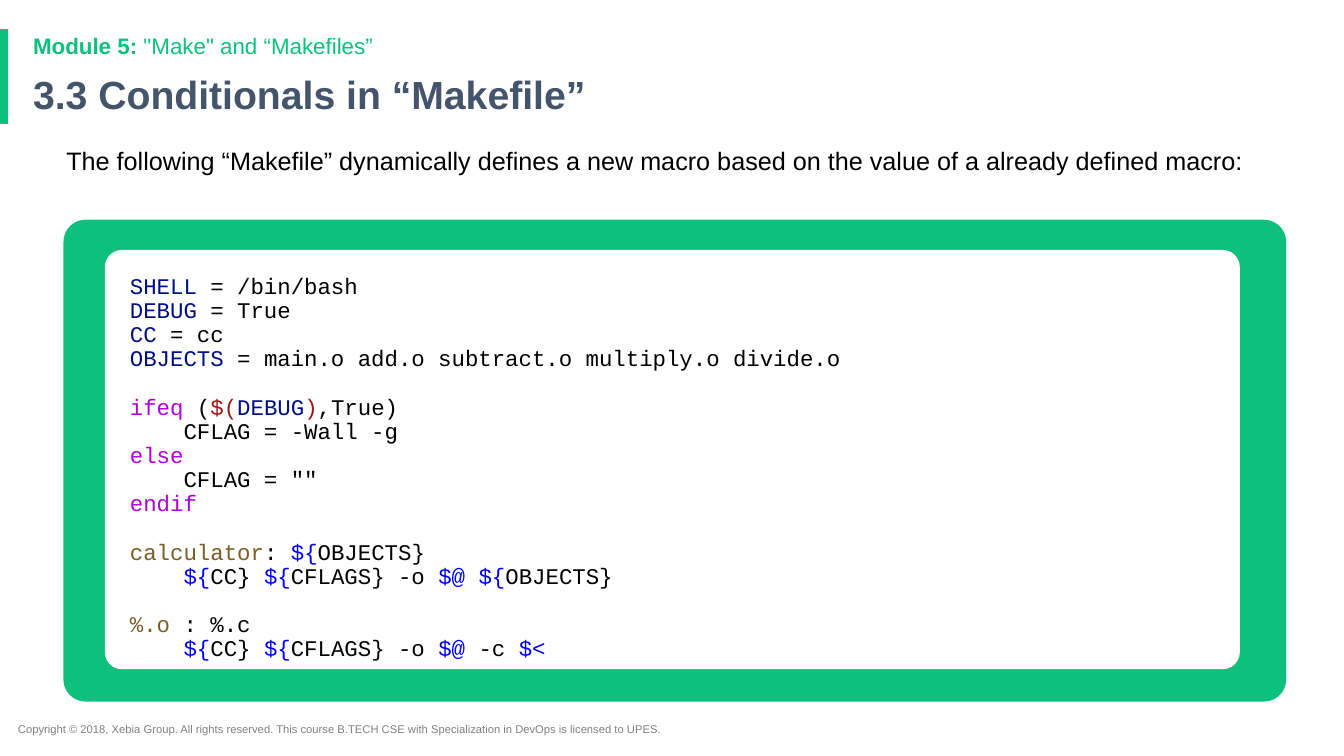
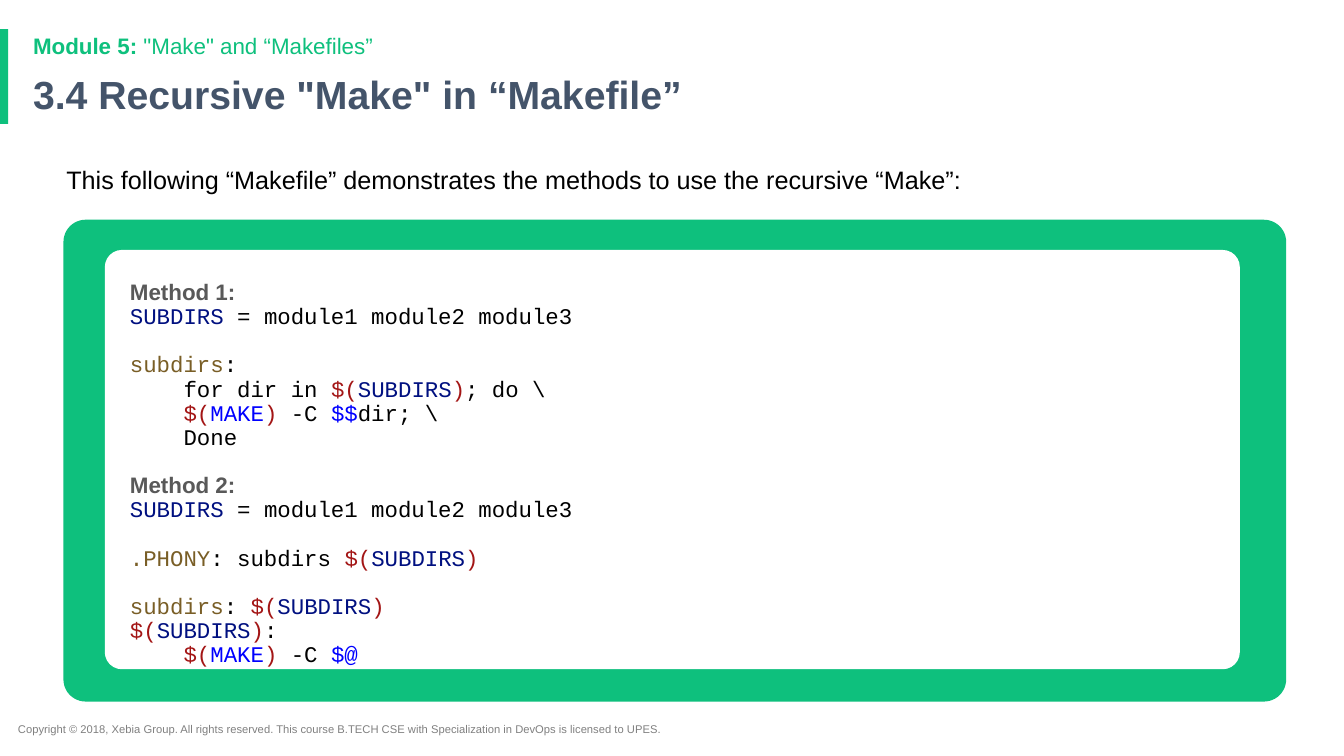
from pptx import Presentation
from pptx.dml.color import RGBColor
from pptx.enum.shapes import MSO_SHAPE
from pptx.enum.text import MSO_ANCHOR
from pptx.util import Inches, Pt

RECT, ROUND = MSO_SHAPE.RECTANGLE, MSO_SHAPE.ROUNDED_RECTANGLE
TOP, MIDDLE = MSO_ANCHOR.TOP, MSO_ANCHOR.MIDDLE

GREEN = RGBColor(0x0E, 0xC0, 0x7D)
SLATE = RGBColor(0x44, 0x54, 0x6A)
GRAY = RGBColor(0x80, 0x80, 0x80)
DARK = RGBColor(0x59, 0x59, 0x59)
WHITE = RGBColor(0xFF, 0xFF, 0xFF)
BLACK = RGBColor(0, 0, 0)
NAVY = RGBColor(0x00, 0x10, 0x80)
RED = RGBColor(0xA3, 0x15, 0x15)
PURPLE = RGBColor(0xAF, 0x00, 0xDB)
BROWN = RGBColor(0x79, 0x5E, 0x26)
BLUE = RGBColor(0x00, 0x00, 0xFF)

# The grid has ten columns and ten rows to the inch.
UNIT = Inches(0.1)
WIDE, HIGH = 133.33, 75
BAND = (0, 2.9, 0.8, 9.4)
MODULE = (2.3, 3, 115, 3.3)
TITLE = (2.3, 6.9, 115, 5.4)
INTRO = (5.6, 14.3, 122, 6)
PANEL = (6.3, 21.8, 121.3, 47.8)
FOOTER = (0.8, 71.2, 71.3, 2.4)

SANS = {"name": "Arial", "bold": False}
SMALL = {**SANS, "size": Pt(8), "color": GRAY}
LEAD = {**SANS, "size": Pt(16), "color": GREEN}
HEAD = {**SANS, "size": Pt(28), "color": SLATE, "bold": True}
BODY = {**SANS, "size": Pt(18), "color": BLACK}
CODE = {"name": "Courier New", "size": Pt(16), "bold": False}
LABEL = {**SANS, "size": Pt(16), "color": DARK, "bold": True}
LINE, LOOSE = 0.9, 1.5
GAP = Pt(17.25)


def scale(box):
    return [round(side * UNIT) for side in box]


def write(par, text, style):
    run = par.add_run()
    run.text = text
    for key, value in style.items():
        if key == "color":
            run.font.color.rgb = value
        else:
            setattr(run.font, key, value)


def label(slide, box, runs, anchor=TOP, line=LINE):
    frame = slide.shapes.add_textbox(*scale(box)).text_frame
    frame.word_wrap = True
    frame.vertical_anchor = anchor
    par = frame.paragraphs[0]
    par.line_spacing = line
    for text, style in runs:
        write(par, text, style)


def block(slide, kind, box, fill, radius=0):
    shape = slide.shapes.add_shape(kind, *scale(box))
    shape.shadow.inherit = False
    shape.fill.solid()
    shape.fill.fore_color.rgb = fill
    shape.line.fill.background()
    if radius:
        shape.adjustments[0] = radius / box[3]
    return shape


def frame(slide, title):
    """Place the band, headings and footer that all slides share."""
    block(slide, RECT, BAND, GREEN)
    label(slide, FOOTER, [(
        "Copyright © 2018, Xebia Group. All rights reserved. This course "
        "B.TECH CSE with Specialization in DevOps is licensed to UPES.",
        SMALL)], line=1.0)
    label(slide, TITLE, [(title, HEAD)], MIDDLE)
    label(slide, MODULE, [("Module 5:", {**LEAD, "bold": True}),
                          (' "Make" and “Makefiles”', LEAD)], MIDDLE)


def panel(slide, box, parts, inset, first):
    """Draw the code panel; each part is a list of lines, with a gap between."""
    left, top, width, height = box
    block(slide, ROUND, box, GREEN, 2.2)
    inner = (left + 4.1, top + 3, width - 8.7, height - 6.2)
    text = block(slide, ROUND, inner, WHITE, 1.7).text_frame
    text.word_wrap = True
    text.vertical_anchor = TOP
    text.margin_left, text.margin_top = 2 * UNIT, inset * UNIT
    text.margin_right = text.margin_bottom = 0
    par = None
    for part in parts:
        for row, line in enumerate(part):
            fresh = par is None
            par = text.paragraphs[0] if fresh else text.add_paragraph()
            par.alignment = 1
            par.line_spacing = first if fresh else LINE
            if row == 0 and not fresh:
                par.space_before = GAP
            for color, word in line:
                style = LABEL if color == DARK else {**CODE, "color": color}
                write(par, word, style)


def plain(text):
    return [(BLACK, text)]


def macro(name, text):
    return [(NAVY, name), (BLACK, text)]


def goal(name, text):
    return [(BROWN, name), (BLACK, text)]


def paren(name, color=NAVY):
    return [(RED, "$("), (color, name), (RED, ")")]


def brace(text):
    return [(BLUE, "${"), (BLACK, text)]


COMPILE = plain("    ") + brace("CC} ") + brace("CFLAGS} -o ") + [(BLUE, "$@")]
RECURSE = plain("    ") + paren("MAKE", BLUE) + plain(" -C ")
MODULES = macro("SUBDIRS", " = module1 module2 module3")

BRANCH = [
    [macro("SHELL", " = /bin/bash"),
     macro("DEBUG", " = True"),
     macro("CC", " = cc"),
     macro("OBJECTS", " = main.o add.o subtract.o multiply.o divide.o")],
    [[(PURPLE, "ifeq"), (BLACK, " (")] + paren("DEBUG") + plain(",True)"),
     plain("    CFLAG = -Wall -g"),
     [(PURPLE, "else")],
     plain('    CFLAG = ""'),
     [(PURPLE, "endif")]],
    [goal("calculator", ": ") + brace("OBJECTS}"),
     COMPILE + plain(" ") + brace("OBJECTS}")],
    [goal("%.o", " : %.c"),
     COMPILE + [(BLACK, " -c "), (BLUE, "$<")]],
]

NESTED = [
    [[(DARK, "Method 1:")], MODULES],
    [goal("subdirs", ":"),
     plain("    for dir in ") + paren("SUBDIRS") + plain("; do \\"),
     RECURSE + [(BLUE, "$$"), (BLACK, "dir; \\")],
     plain("    Done")],
    [[(DARK, "Method 2:")], MODULES],
    [goal(".PHONY", ": subdirs ") + paren("SUBDIRS")],
    [goal("subdirs", ": ") + paren("SUBDIRS"),
     paren("SUBDIRS") + plain(":"),
     RECURSE + [(BLUE, "$@")]],
]

PAGES = [
    ("3.3 Conditionals in “Makefile”",
     "The following “Makefile” dynamically defines a new macro based on "
     "the value of a already defined macro:", LINE, BRANCH, 2, LINE),
    ('3.4 Recursive "Make" in “Makefile”',
     "This following “Makefile” demonstrates the methods to use the "
     "recursive “Make”:", LOOSE, NESTED, 1, LOOSE),
]


def main():
    deck = Presentation()
    deck.slide_width, deck.slide_height = scale((WIDE, HIGH))
    for title, intro, line, parts, inset, first in PAGES:
        slide = deck.slides.add_slide(deck.slide_layouts[6])
        frame(slide, title)
        label(slide, INTRO, [(intro, BODY)], line=line)
        panel(slide, PANEL, parts, inset, first)
    deck.save("out.pptx")


if __name__ == "__main__":
    main()
